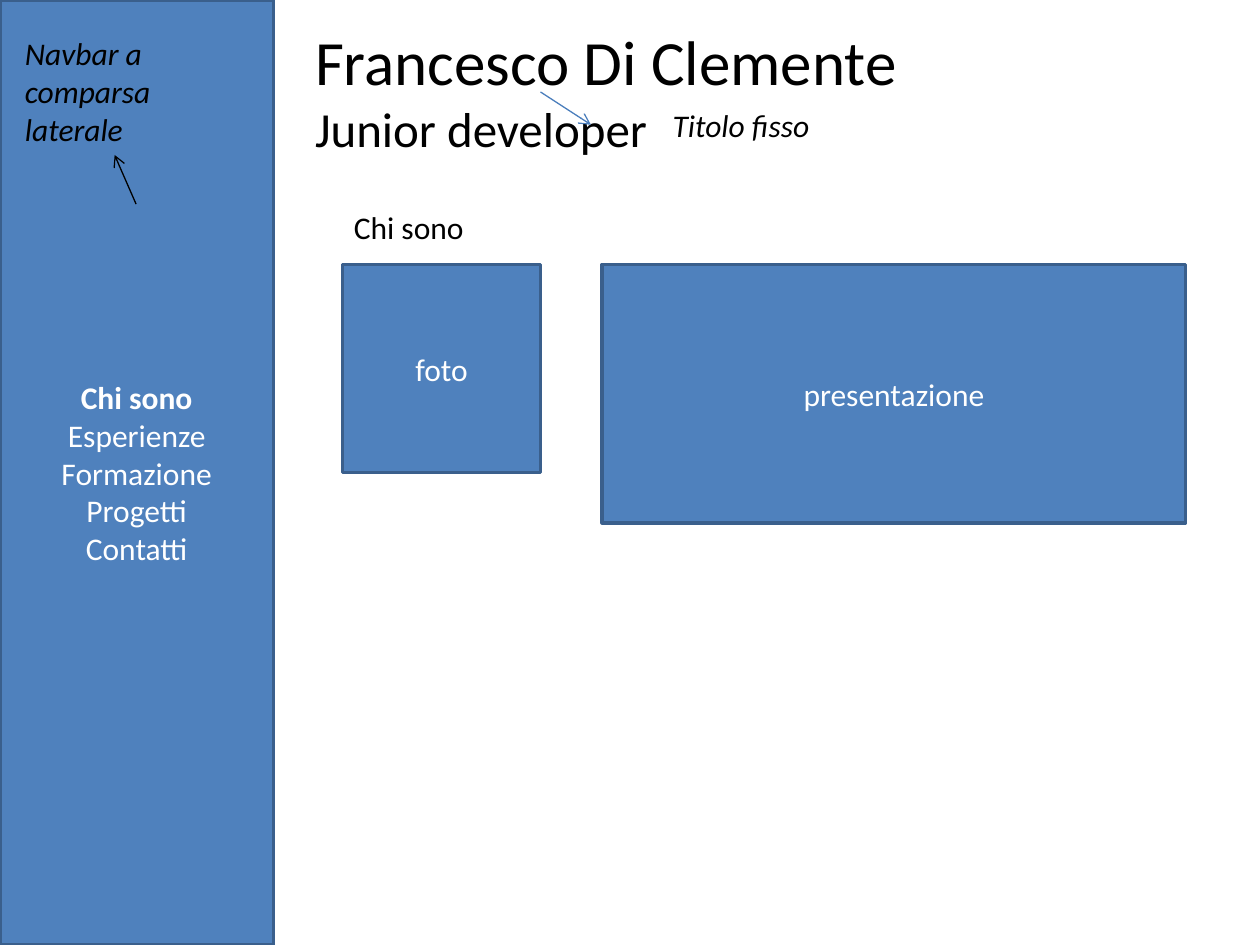
from lxml import etree
from pptx import Presentation
from pptx.dml.color import RGBColor
from pptx.enum.shapes import MSO_CONNECTOR, MSO_SHAPE
from pptx.enum.text import MSO_ANCHOR, MSO_AUTO_SIZE, PP_ALIGN
from pptx.oxml.ns import qn
from pptx.util import Inches, Pt

COLORS = {"panel": "4F81BD", "border": "3A5F8C", "arrow": "4B7EBC",
          "ink": "000000", "paper": "FFFFFF"}
FONT = "Calibri"
BODY_SIZE = 18


def rgb(name):
    """Return the named palette colour."""
    return RGBColor.from_string(COLORS[name])


class Wireframe:
    """Holds the style and the current slide, and draws its elements."""

    def __init__(self, slide):
        """Keep the slide to draw on."""
        self.slide = slide

    def set_text(self, frame, lines, color="ink", align=PP_ALIGN.LEFT,
                 anchor=MSO_ANCHOR.TOP, italic=False):
        """Fill a text frame with (text, size, bold) paragraphs."""
        frame.word_wrap = True
        frame.auto_size = MSO_AUTO_SIZE.NONE
        frame.vertical_anchor = anchor
        for index, (text, size, bold) in enumerate(lines):
            paragraph = frame.add_paragraph() if index else frame.paragraphs[0]
            paragraph.alignment = align
            run = paragraph.add_run()
            run.text = text
            font = run.font
            font.name, font.size = FONT, Pt(size)
            font.bold, font.italic = bold, italic
            font.color.rgb = rgb(color)

    def title(self, box, lines):
        """Place the title placeholder and set its lines."""
        title = self.slide.shapes.title
        title.left, title.top, title.width, title.height = map(Inches, box)
        self.set_text(title.text_frame, lines)

    def label(self, box, text, italic=False):
        """Add a plain text label."""
        shape = self.slide.shapes.add_textbox(*map(Inches, box))
        self.set_text(shape.text_frame, [(text, BODY_SIZE, False)], italic=italic)

    def panel(self, box, lines):
        """Add a filled rectangle with centred lines."""
        shape = self.slide.shapes.add_shape(MSO_SHAPE.RECTANGLE, *map(Inches, box))
        shape.shadow.inherit = False
        shape.fill.solid()
        shape.fill.fore_color.rgb = rgb("panel")
        shape.line.color.rgb = rgb("border")
        shape.line.width = Pt(2)
        self.set_text(shape.text_frame, lines, "paper", PP_ALIGN.CENTER, MSO_ANCHOR.MIDDLE)

    def arrow(self, start, end, color):
        """Add a thin line with an open arrowhead at its end."""
        connector = self.slide.shapes.add_connector(
            MSO_CONNECTOR.STRAIGHT, *map(Inches, (*start, *end)))
        connector.line.color.rgb = rgb(color)
        connector.line.width = Pt(0.75)
        properties = connector.element.spPr
        outline = properties.find(qn("a:ln"))
        etree.SubElement(outline, qn("a:tailEnd"), type="arrow")
        etree.SubElement(properties, qn("a:effectLst"))


def main():
    """Build the page wireframe and save it."""
    deck = Presentation()
    deck.slide_width, deck.slide_height = Inches(10), Inches(7.5)
    page = Wireframe(deck.slides.add_slide(deck.slide_layouts[5]))

    sections = ["Chi sono", "Esperienze", "Formazione", "Progetti", "Contatti"]
    current = sections[0]
    page.panel((0, 0, 2.17, 7.5),
               [(name, BODY_SIZE, name == current) for name in sections])
    page.title((2.4, 0.13, 7.4, 1.18),
               [("Francesco Di Clemente", 36, False), ("Junior developer", 28, False)])

    page.label((0.1, 0.22, 1.97, 1.01), "Navbar a comparsa laterale", italic=True)
    page.label((5.24, 0.79, 4.6, 0.4), "Titolo fisso", italic=True)
    page.arrow((4.29, 0.73), (4.69, 0.99), "arrow")
    page.arrow((1.08, 1.62), (0.91, 1.23), "ink")

    content_top = 2.1
    for left, width, height, text in [(2.72, 1.57, 1.65, "foto"),
                                      (4.78, 4.63, 2.05, "presentazione")]:
        page.panel((left, content_top, width, height), [(text, BODY_SIZE, False)])
    page.label((2.71, 1.6, 1.32, 0.4), current)

    deck.save("out.pptx")


main()
